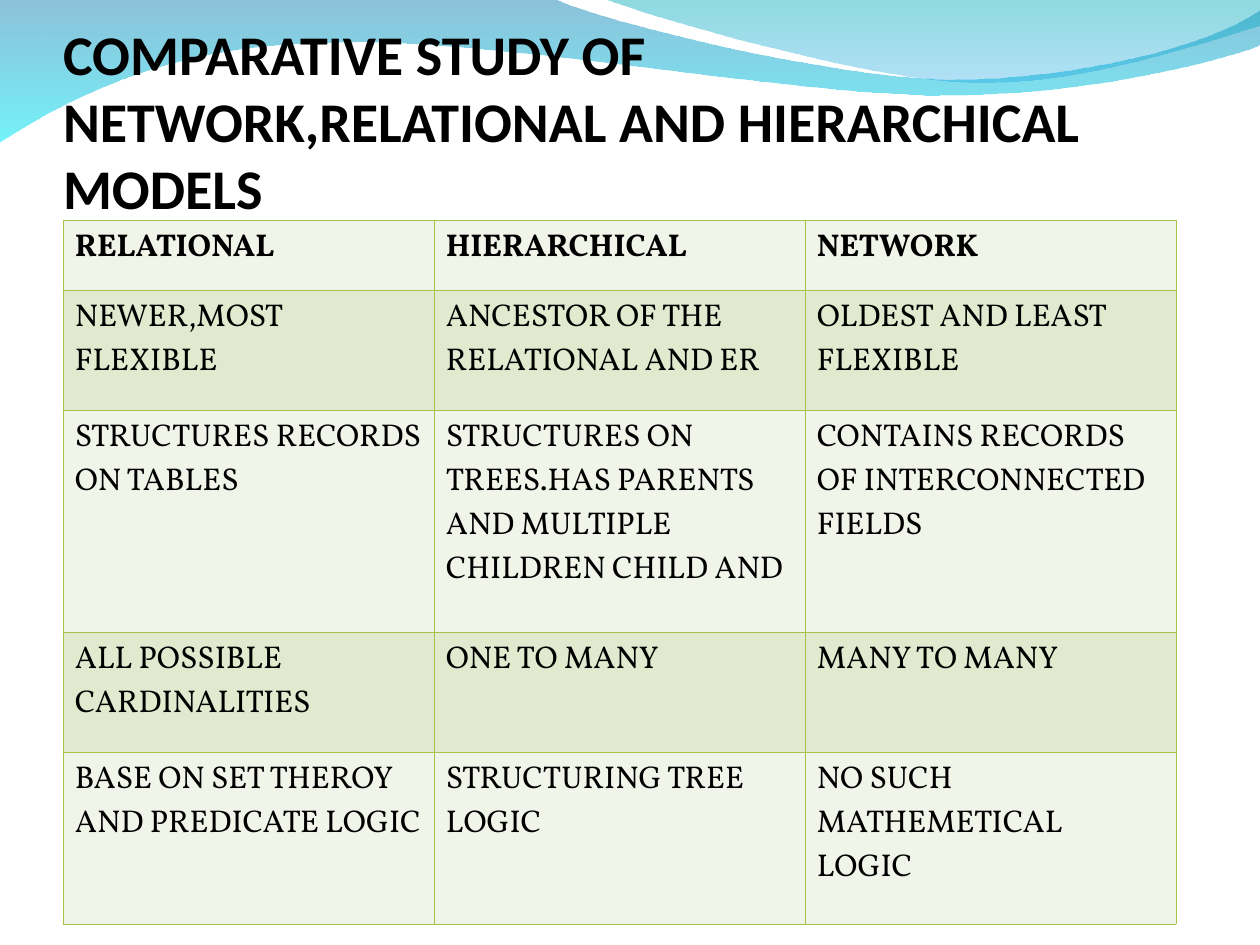
from dataclasses import dataclass

from lxml.etree import SubElement
from pptx import Presentation
from pptx.dml.color import RGBColor
from pptx.enum.text import MSO_ANCHOR, MSO_AUTO_SIZE, PP_ALIGN
from pptx.oxml import parse_xml
from pptx.oxml.ns import nsdecls, qn
from pptx.util import Emu, Pt

PX_PER_INCH = 126


@dataclass(frozen=True)
class Theme:
    """Colours, fonts and sizes of the slide."""
    text: str = "000000"
    border: str = "A5C249"
    bands: tuple = ("F0F4E9", "E1E9CF")
    left_wave: tuple = (("0079AF", 45), ("00EBF8", 55))
    right_wave: tuple = (("00ADB6", 45), ("009BE5", 30))
    title_font: str = "Calibri"
    body_font: str = "Vollkorn"
    title_size: int = 32
    body_size: int = 18
    border_width: float = 0.45


def px(n):
    """Turn picture pixels into EMU."""
    return Emu(round(n * 914400 / PX_PER_INCH))


def write(tf, text, font, size, color, bold=False):
    """Put one formatted, left-aligned run into a text frame."""
    tf.word_wrap = True
    p = tf.paragraphs[0]
    p.alignment = PP_ALIGN.LEFT
    r = p.add_run()
    r.text = text
    r.font.name, r.font.size, r.font.bold = font, Pt(size), bold
    r.font.color.rgb = RGBColor.from_string(color)


def bend(outline, segments):
    """Turn each run of three line points into one cubic curve."""
    lines = iter(outline.findall(qn("a:lnTo")))
    for seg in segments:
        parts = [next(lines) for _ in seg]
        if len(parts) == 3:
            curve = parse_xml(f'<a:cubicBezTo {nsdecls("a")}/>')
            parts[0].addprevious(curve)
            for part in parts:
                curve.append(part[0])
                outline.remove(part)


class Deck:
    """Holds the theme and the current slide."""

    def __init__(self, theme):
        """Open a presentation with one title-only slide."""
        self.theme = theme
        self.prs = Presentation()
        self.prs.slide_width, self.prs.slide_height = px(1260), px(945)
        self.s = self.prs.slides.add_slide(self.prs.slide_layouts[5])

    def wave(self, start, segments, stops):
        """Draw a closed outline of lines and curves with a vertical gradient."""
        builder = self.s.shapes.build_freeform(*map(px, start))
        builder.add_line_segments([(px(x), px(y)) for seg in segments for x, y in seg],
                                  close=True)
        sp = builder.convert_to_shape()
        bend(next(sp.element.iter(qn("a:path"))), segments)
        sp.shadow.inherit = False
        sp.line.fill.background()
        sp.fill.gradient()
        sp.fill.gradient_angle = 270
        for pos, stop, (color, _) in zip((0, 1), sp.fill.gradient_stops, stops):
            stop.position = pos
            stop.color.rgb = RGBColor.from_string(color)
        for clr, (_, opacity) in zip(sp.element.spPr.iter(qn("a:srgbClr")), stops):
            SubElement(clr, qn("a:alpha")).set("val", str(opacity * 1000))

    def title(self, text, x, y, w, h):
        """Place the title in front of the waves."""
        t, sp = self.theme, self.s.shapes.title
        sp.left, sp.top, sp.width, sp.height = map(px, (x, y, w, h))
        tf = sp.text_frame
        tf.auto_size = MSO_AUTO_SIZE.NONE
        tf.vertical_anchor = MSO_ANCHOR.BOTTOM
        tf.margin_left = tf.margin_right = tf.margin_bottom = 0
        tf.margin_top = px(6)
        write(tf, text, t.title_font, t.title_size, t.text, bold=True)
        sp.element.getparent().append(sp.element)

    def border(self, cell):
        """Line all four sides of a cell."""
        tc_pr = cell._tc.get_or_add_tcPr()
        for i, side in enumerate("LRTB"):
            tc_pr.insert(i, parse_xml(
                f'<a:ln{side} {nsdecls("a")} w="{Pt(self.theme.border_width)}">'
                f'<a:solidFill><a:srgbClr val="{self.theme.border}"/></a:solidFill>'
                f'</a:ln{side}>'))

    def table(self, rows, x, y, col_width, heights):
        """Add a banded table with a bold first row."""
        t, n = self.theme, len(rows[0])
        tbl = self.s.shapes.add_table(len(rows), n, px(x), px(y),
                                      px(n * col_width), px(sum(heights))).table
        for col in tbl.columns:
            col.width = px(col_width)
        for i, (texts, height) in enumerate(zip(rows, heights)):
            tbl.rows[i].height = px(height)
            for cell, text in zip(tbl.rows[i].cells, texts):
                cell.margin_left = cell.margin_right = px(12)
                cell.fill.solid()
                cell.fill.fore_color.rgb = RGBColor.from_string(t.bands[i % 2])
                write(cell.text_frame, text, t.body_font, t.body_size, t.text,
                      bold=i == 0)
                self.border(cell)


LEFT_WAVE = [
    [(554, -1)],
    [(600, 21), (837, 79), (955, 79)],
    [(1075, 79), (1207, 47), (1260, 11)],
    [(1261, 45)],
    [(1239, 55), (1096, 96), (940, 95)],
    [(784, 95), (481, 35), (324, 43)],
    [(163, 44), (58, 105), (-1, 142)],
]
RIGHT_WAVE = [
    [(641, 14), (859, 78), (969, 82)],
    [(1079, 87), (1211, 40), (1260, 26)],
    [(1260, 0)],
]
MODELS = [
    ("RELATIONAL", "HIERARCHICAL", "NETWORK"),
    ("NEWER,MOST FLEXIBLE", "ANCESTOR OF THE RELATIONAL AND ER",
     "OLDEST AND LEAST FLEXIBLE"),
    ("STRUCTURES RECORDS ON TABLES",
     "STRUCTURES ON TREES.HAS PARENTS AND MULTIPLE CHILDREN CHILD AND",
     "CONTAINS RECORDS OF INTERCONNECTED FIELDS"),
    ("ALL POSSIBLE CARDINALITIES", "ONE TO MANY", "MANY TO MANY"),
    ("BASE ON SET THEROY AND PREDICATE LOGIC", "STRUCTURING TREE LOGIC",
     "NO SUCH MATHEMETICAL LOGIC"),
]

theme = Theme()
deck = Deck(theme)
deck.wave((0, -1), LEFT_WAVE, theme.left_wave)
deck.wave((604, -1), RIGHT_WAVE, theme.right_wave)
deck.title("COMPARATIVE STUDY OF NETWORK,RELATIONAL AND HIERARCHICAL MODELS",
           63, 32, 1134, 189)
deck.table(MODELS, 63, 220, 371, (70, 120, 222, 120, 172))
deck.prs.save("out.pptx")
